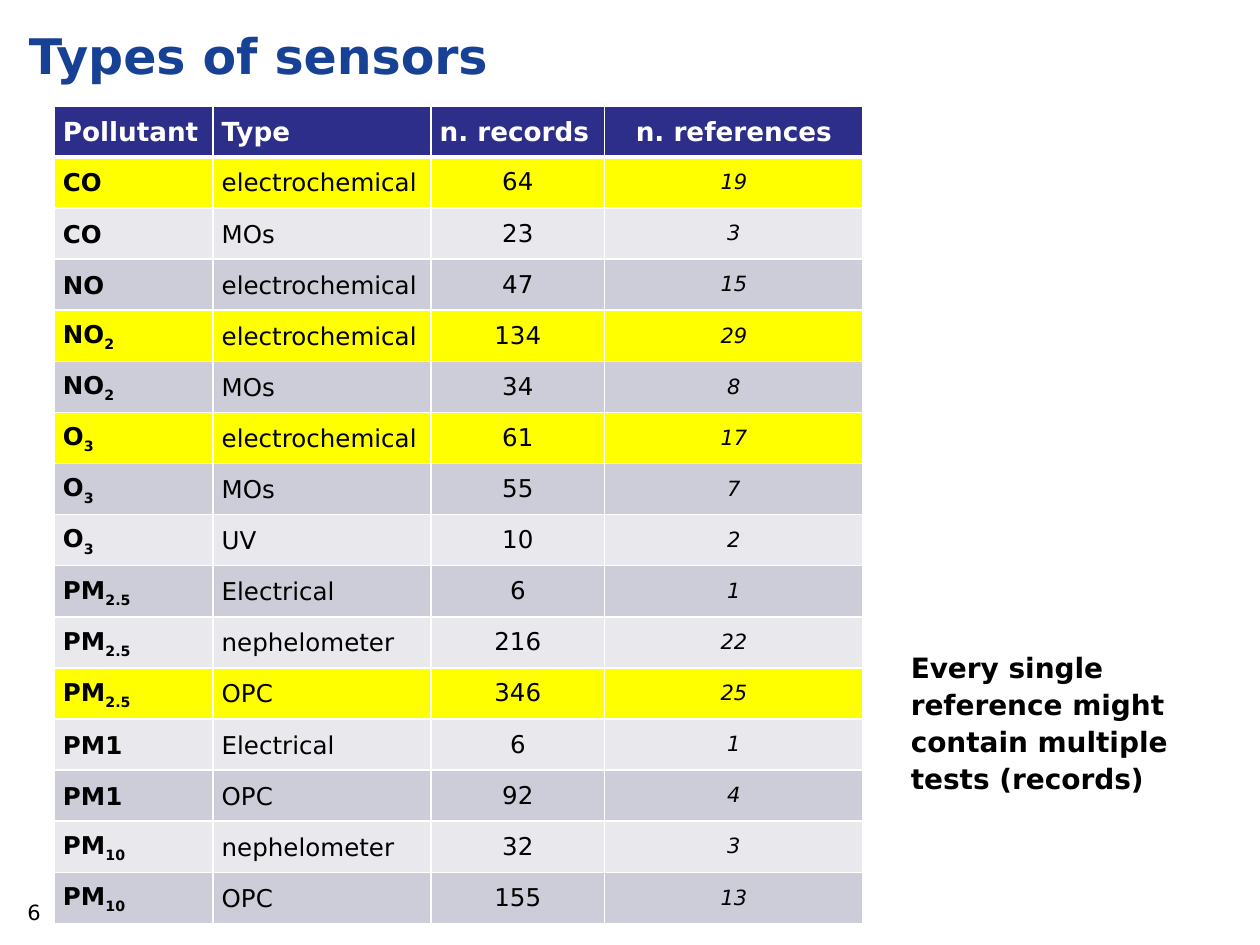
from lxml.etree import SubElement
from pptx import Presentation
from pptx.dml.color import RGBColor
from pptx.enum.text import MSO_ANCHOR as Anchor, PP_ALIGN as Align
from pptx.oxml.ns import qn
from pptx.util import Inches, Pt

FONT = "DejaVu Sans"
COLORS = {"title": "164194", "header": "2D2D8A", "highlight": "FFFF00",
          "dark": "CDCDDA", "light": "E8E8ED", "white": "FFFFFF", "black": "000000"}

TITLE = "Types of sensors"
NOTE = "Every single reference might contain multiple tests (records)"
PAGE_NUMBER = "6"
HEADERS = ["Pollutant", "Type", "n. records", "n. references"]
# pollutant, subscript, type, records, references, highlighted
SENSORS = [
    ("CO", "", "electrochemical", 64, 19, True),
    ("CO", "", "MOs", 23, 3, False),
    ("NO", "", "electrochemical", 47, 15, False),
    ("NO", "2", "electrochemical", 134, 29, True),
    ("NO", "2", "MOs", 34, 8, False),
    ("O", "3", "electrochemical", 61, 17, True),
    ("O", "3", "MOs", 55, 7, False),
    ("O", "3", "UV", 10, 2, False),
    ("PM", "2.5", "Electrical", 6, 1, False),
    ("PM", "2.5", "nephelometer", 216, 22, False),
    ("PM", "2.5", "OPC", 346, 25, True),
    ("PM1", "", "Electrical", 6, 1, False),
    ("PM1", "", "OPC", 92, 4, False),
    ("PM", "10", "nephelometer", 32, 3, False),
    ("PM", "10", "OPC", 155, 13, False),
]
COLUMN_WIDTHS = [1.26, 1.73, 1.38, 2.05]
TABLE_LEFT, TABLE_TOP, TABLE_HEIGHT = 0.43, 0.84, 6.49


def style(para, size, color="black", bold=False, italic=False, align=Align.LEFT, spacing=None):
    font = para.font
    font.name, font.size, font.bold, font.italic = FONT, Pt(size), bold, italic
    font.color.rgb = RGBColor.from_string(COLORS[color])
    para.alignment = align
    if spacing:
        para.line_spacing = spacing


def add_text(page, place, text, size, wrap=True, **look):
    box = page.shapes.add_textbox(*map(Inches, place))
    box.text_frame.word_wrap = wrap
    para = box.text_frame.paragraphs[0]
    para.add_run().text = text
    style(para, size, **look)
    return box.text_frame


def set_borders(cell, bottom_width):
    props = cell._tc.get_or_add_tcPr()
    for index, side in enumerate(("lnL", "lnR", "lnT", "lnB")):
        width = bottom_width if side == "lnB" else 1
        line = SubElement(props, qn(f"a:{side}"), w=str(Pt(width)))
        SubElement(SubElement(line, qn("a:solidFill")), qn("a:srgbClr"), val=COLORS["white"])
        props.insert(index, line)


def fill_cell(cell, text, fill, size, subscript="", bottom_width=1, **look):
    cell.vertical_anchor = Anchor.MIDDLE
    cell.margin_left = cell.margin_right = Inches(0.07)
    cell.margin_top = cell.margin_bottom = 0
    cell.fill.solid()
    cell.fill.fore_color.rgb = RGBColor.from_string(COLORS[fill])
    set_borders(cell, bottom_width)
    para = cell.text_frame.paragraphs[0]
    para.space_before = para.space_after = Pt(1.8)
    para.add_run().text = str(text)
    if subscript:
        span = para.add_run()
        span.text = subscript
        span.font._element.set("baseline", "-25000")
    style(para, size, **look)


def add_sensor_table(page):
    row_count = len(SENSORS) + 1
    table = page.shapes.add_table(
        row_count, len(HEADERS), Inches(TABLE_LEFT), Inches(TABLE_TOP),
        Inches(sum(COLUMN_WIDTHS)), Inches(TABLE_HEIGHT)).table
    for column, width in zip(table.columns, COLUMN_WIDTHS):
        column.width = Inches(width)
    for row in table.rows:
        row.height = Inches(TABLE_HEIGHT / row_count)

    # Header row
    for column, text in enumerate(HEADERS):
        align = Align.CENTER if column == 3 else Align.LEFT
        fill_cell(table.cell(0, column), text, "header", 15, bottom_width=3,
                  color="white", bold=True, align=align, spacing=1.07)

    # Banded rows, with some highlighted
    for row, (pollutant, subscript, kind, records, references, marked) in enumerate(SENSORS, 1):
        fill = "highlight" if marked else "dark" if row % 2 else "light"
        cells = [table.cell(row, column) for column in range(len(HEADERS))]
        fill_cell(cells[0], pollutant, fill, 14, subscript, bold=True, spacing=1.07)
        fill_cell(cells[1], kind, fill, 14, spacing=1.07)
        fill_cell(cells[2], records, fill, 14, align=Align.CENTER)
        fill_cell(cells[3], references, fill, 12, italic=True, align=Align.CENTER)


def main():
    deck = Presentation()
    deck.slide_width, deck.slide_height = Inches(10), Inches(7.5)
    page = deck.slides.add_slide(deck.slide_layouts[6])

    # Page number
    frame = add_text(page, (0.12, 7.04, 2.33, 0.4), PAGE_NUMBER, 12)
    frame.vertical_anchor = Anchor.MIDDLE
    frame.margin_top = frame.margin_bottom = 0

    add_sensor_table(page)

    # Side note and title
    add_text(page, (7.13, 5.09, 2.52, 1.26), NOTE, 16, bold=True, spacing=1.1)
    add_text(page, (0.13, 0.11, 3.91, 0.57), TITLE, 28, wrap=False,
             color="title", bold=True, spacing=1.1)

    deck.save("out.pptx")


if __name__ == "__main__":
    main()
